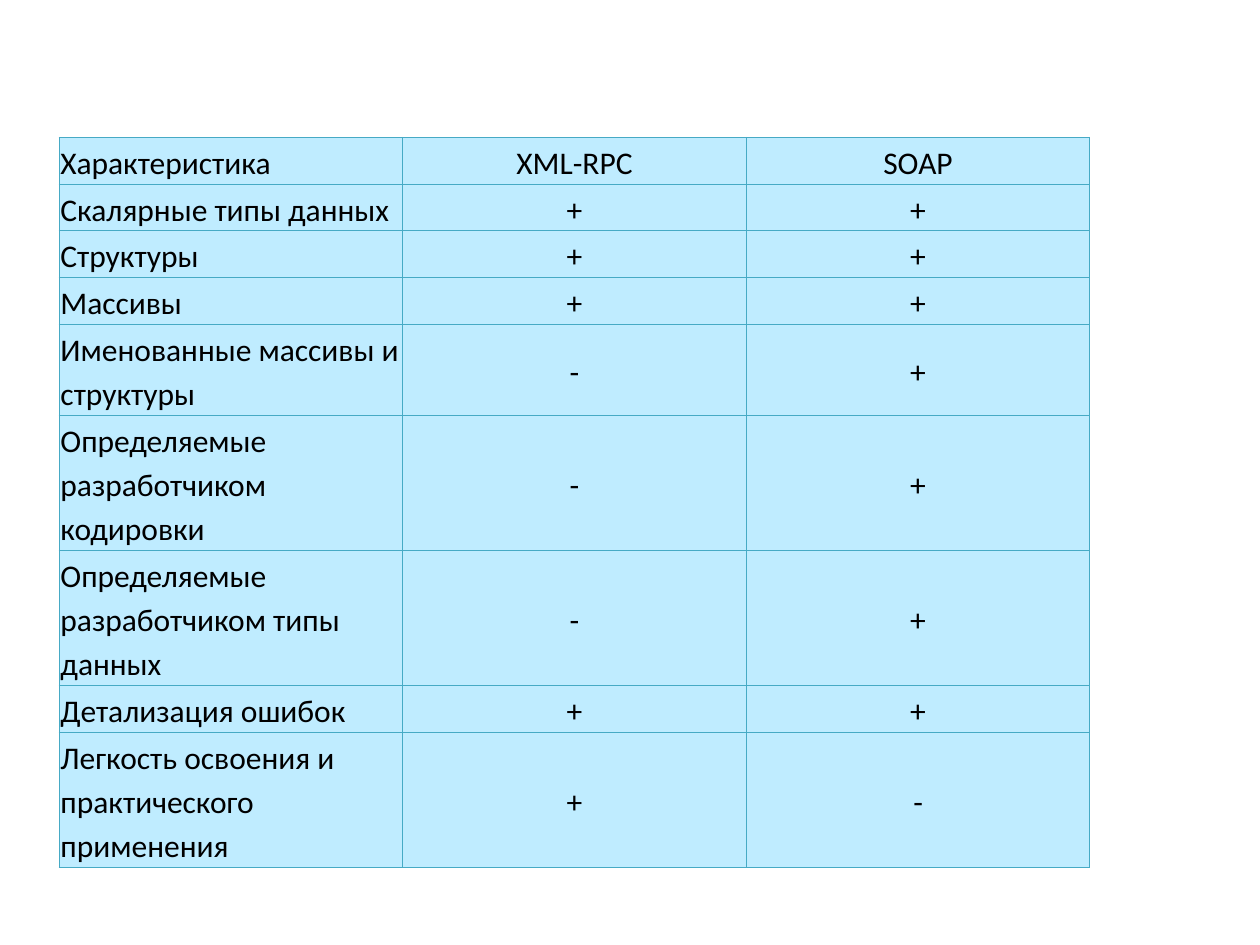
from lxml.etree import SubElement
from pptx import Presentation
from pptx.dml.color import RGBColor
from pptx.enum.text import MSO_ANCHOR, PP_ALIGN
from pptx.oxml.ns import qn
from pptx.util import Inches, Pt

BLACK = RGBColor(0x00, 0x00, 0x00)
TEAL = RGBColor(0x46, 0xAA, 0xC5)
SKY = RGBColor(0xBF, 0xEC, 0xFF)

# Each row: feature, XML-RPC, SOAP
ROWS = [
    ("Характеристика", "XML-RPC", "SOAP"),
    ("Скалярные типы данных", "+", "+"),
    ("Структуры", "+", "+"),
    ("Массивы", "+", "+"),
    ("Именованные массивы и структуры", "-", "+"),
    ("Определяемые разработчиком кодировки", "-", "+"),
    ("Определяемые разработчиком типы данных", "-", "+"),
    ("Детализация ошибок", "+", "+"),
    ("Легкость освоения и практического применения", "+", "-"),
]
LOW, HIGH = 0.33, 0.63
WRAP = 22  # longer labels take several lines


class Deck:
    font = "Calibri"
    size = Pt(18)
    inset = Inches(0.01)

    def __init__(self, wide, high):
        self.prs = Presentation()
        self.prs.slide_width = Inches(wide)
        self.prs.slide_height = Inches(high)
        self.slide = self.prs.slides.add_slide(self.prs.slide_layouts[6])

    def table(self, rows, left, top, wide, high):
        grid = self.slide.shapes.add_table(
            len(rows), len(rows[0]),
            Inches(left), Inches(top), Inches(wide), Inches(high)).table
        grid.first_row = grid.horz_banding = False
        for r, row in enumerate(rows):
            grid.rows[r].height = Inches(HIGH if len(row[0]) > WRAP else LOW)
            for c, text in enumerate(row):
                align = PP_ALIGN.CENTER if c else PP_ALIGN.LEFT
                self.cell(grid.cell(r, c), text, align)

    def cell(self, cell, text, align):
        # Borders come before the fill in the cell's XML
        self.edges(cell)
        cell.fill.solid()
        cell.fill.fore_color.rgb = SKY
        cell.vertical_anchor = MSO_ANCHOR.MIDDLE
        cell.margin_left = cell.margin_right = self.inset
        cell.margin_top = cell.margin_bottom = self.inset
        para = cell.text_frame.paragraphs[0]
        para.alignment = align
        para.line_spacing = 1.15
        para.space_after = Pt(10)
        run = para.add_run()
        run.text = text
        run.font.name = self.font
        run.font.size = self.size
        run.font.color.rgb = BLACK

    def edges(self, cell):
        props = cell._tc.get_or_add_tcPr()
        for side in "LRTB":
            line = SubElement(props, qn(f"a:ln{side}"), w=str(Pt(0.75)))
            fill = SubElement(line, qn("a:solidFill"))
            SubElement(fill, qn("a:srgbClr"), val=str(TEAL))


def main():
    deck = Deck(10, 7.5)
    # Comparison of the two protocols
    deck.table(ROWS, 0.47, 1.09, 8.18, 5.71)
    deck.prs.save("out.pptx")


if __name__ == "__main__":
    main()
